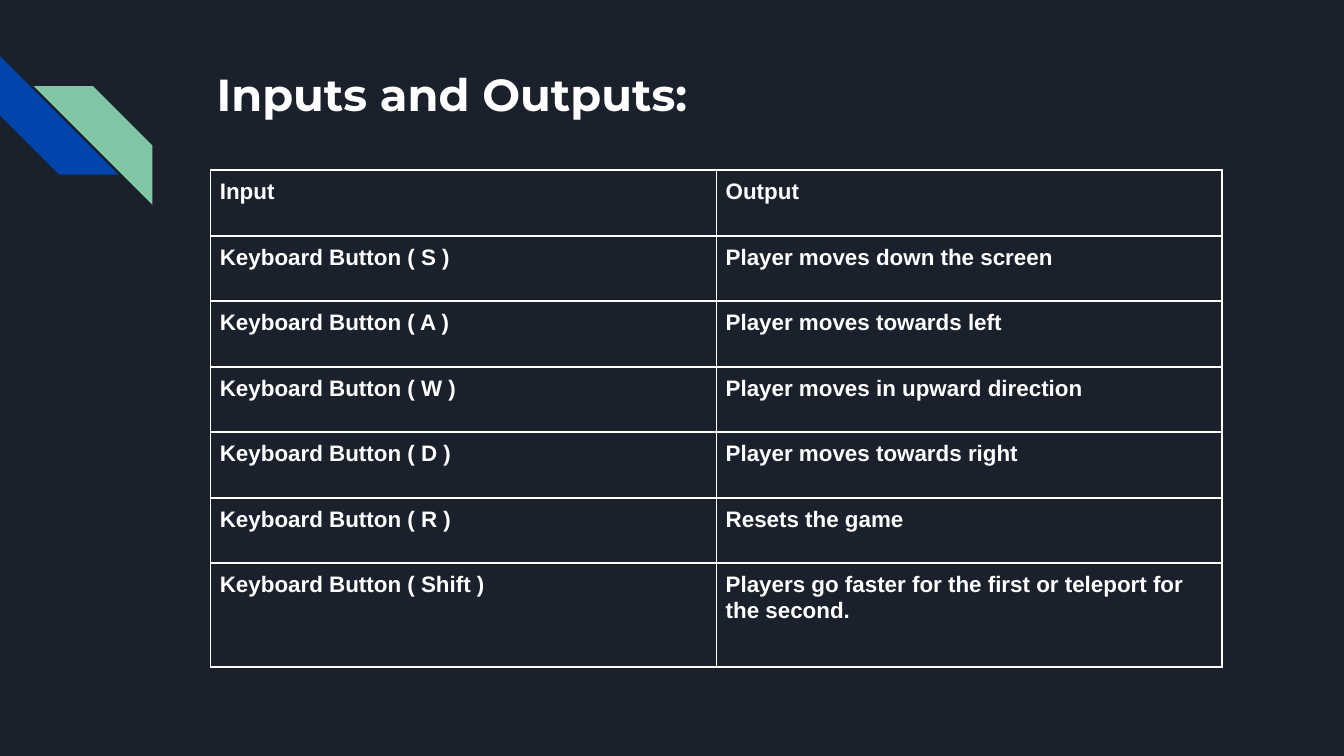
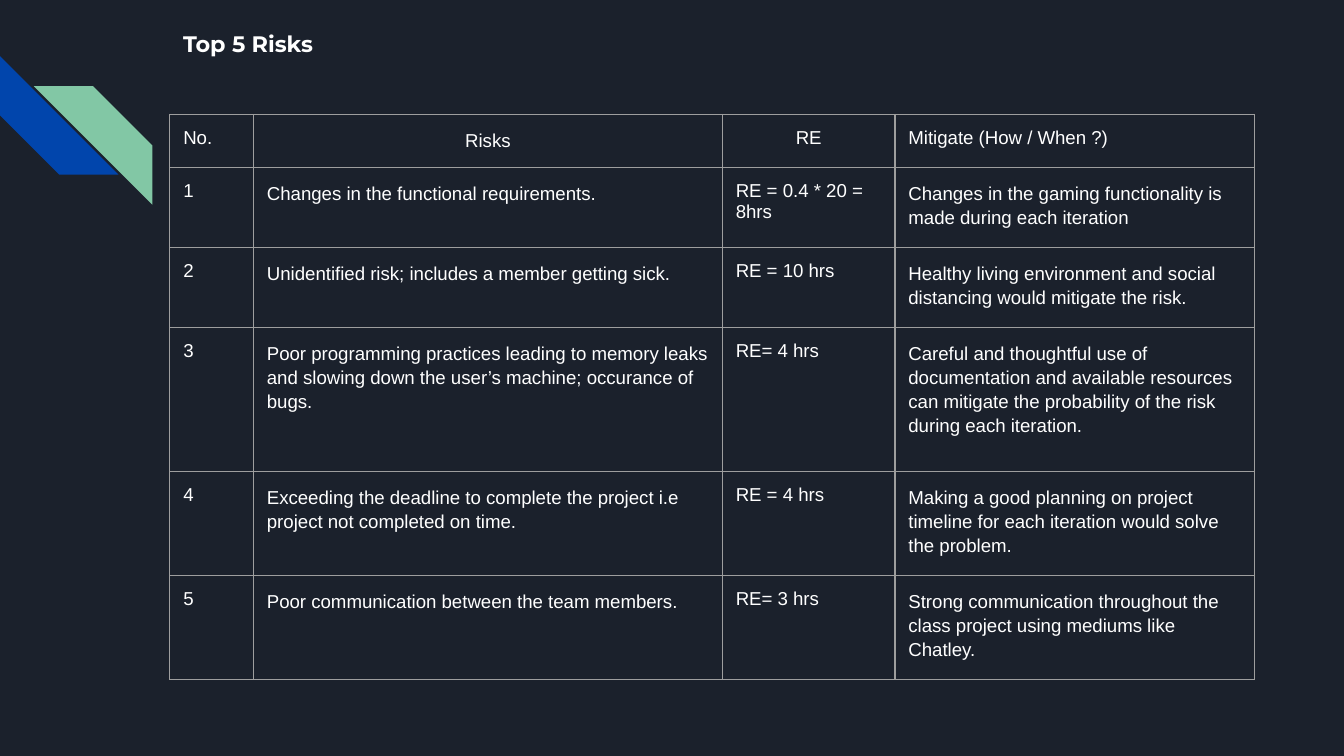
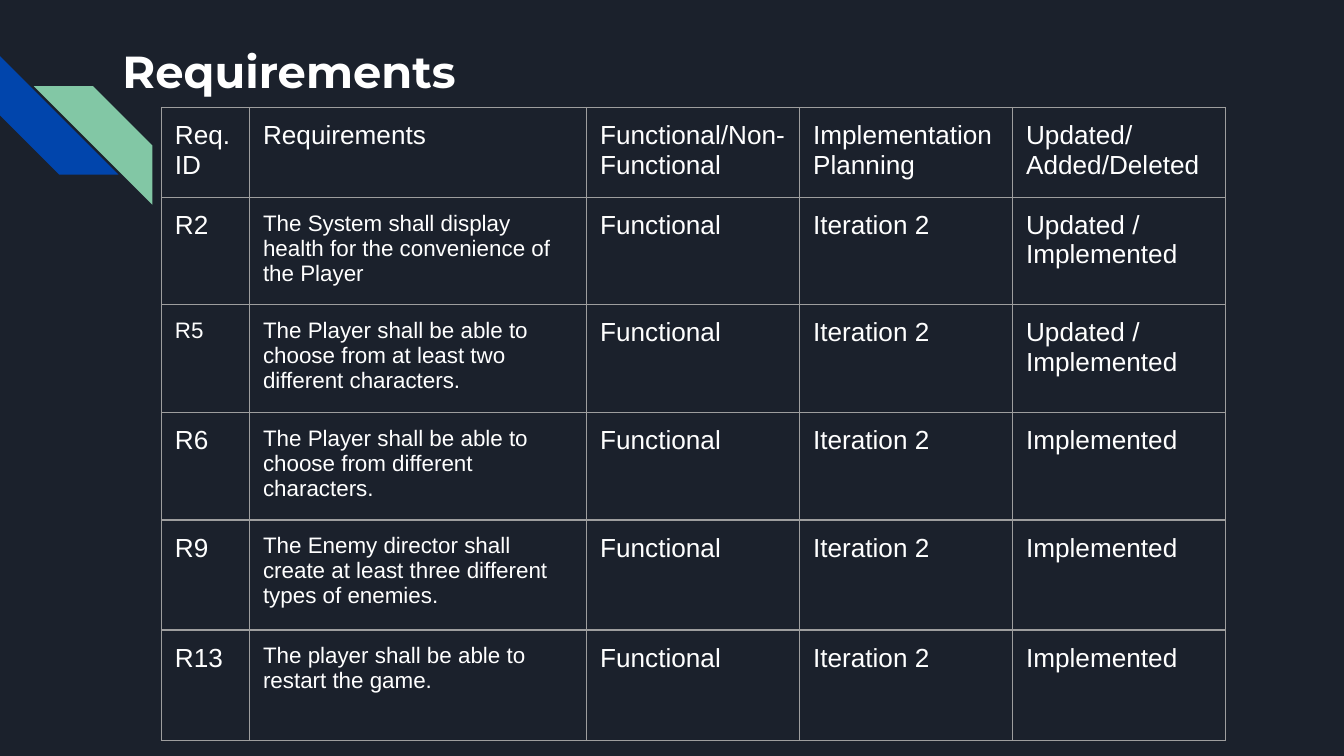
"""Build three table slides for a game project review."""
from lxml import etree
from pptx import Presentation
from pptx.dml.color import RGBColor
from pptx.enum import shapes, text
from pptx.oxml import ns
from pptx.util import Pt


def colour(value):
    return RGBColor.from_string(value)


class Slides:
    BACK, BLUE, GREEN = "1B212C", "0145AC", "82C7A5"
    WHITE, GREY = "FFFFFF", "9E9E9E"
    BODY, HEADING = "Arial", "Montserrat"
    INSET = 7.2

    def __init__(self):
        self.deck = Presentation()
        self.deck.slide_width, self.deck.slide_height = Pt(720), Pt(405)
        fill = self.deck.slide_master.background.fill
        fill.solid()
        fill.fore_color.rgb = colour(self.BACK)
        self.page = None

    def add_page(self):
        self.page = self.deck.slides.add_slide(self.deck.slide_layouts[6])
        self.stripe(0, 30, self.BLUE).rotation = 270
        green = self.stripe(18.2, 46.2, self.GREEN)
        green._element.spPr.xfrm.set("flipH", "1")

    def stripe(self, left, top, fill):
        shape = self.page.shapes.add_shape(
            shapes.MSO_SHAPE.DIAGONAL_STRIPE, Pt(left), Pt(top), Pt(63.5), Pt(63.5))
        shape.adjustments[0] = 0.5
        shape.shadow.inherit = False
        shape.fill.solid()
        shape.fill.fore_color.rgb = colour(fill)
        shape.line.fill.background()
        return shape

    def style(self, para, font, size, bold):
        para.font.name, para.font.size, para.font.bold = font, Pt(size), bold
        para.font.color.rgb = colour(self.WHITE)

    def inset(self, target, amount):
        target.margin_left = target.margin_right = Pt(amount)
        target.margin_top = target.margin_bottom = Pt(amount)

    def title(self, words, left, top, width, height, size=24):
        box = self.page.shapes.add_textbox(Pt(left), Pt(top), Pt(width), Pt(height))
        frame = box.text_frame
        frame.word_wrap = True
        self.inset(frame, self.INSET)
        frame.text = words
        self.style(frame.paragraphs[0], self.HEADING, size, True)
        return frame

    def border(self, cell, line, width):
        properties = cell._tc.get_or_add_tcPr()
        for side in ("lnL", "lnR", "lnT", "lnB"):
            edge = etree.SubElement(properties, ns.qn(f"a:{side}"), w=str(Pt(width)))
            solid = etree.SubElement(edge, ns.qn("a:solidFill"))
            etree.SubElement(solid, ns.qn("a:srgbClr"), val=line)

    def table(self, rows, left, top, widths, heights, size,
              bold=False, inset=INSET, line=GREY, weight=0.75):
        grid = self.page.shapes.add_table(
            len(rows), len(widths), Pt(left), Pt(top),
            Pt(sum(widths)), Pt(sum(heights))).table
        grid.first_row = grid.horz_banding = False
        for column, width in zip(grid.columns, widths):
            column.width = Pt(width)
        for row, height, entries in zip(grid.rows, heights, rows):
            row.height = Pt(height)
            for cell, words in zip(row.cells, entries):
                cell.text = words
                self.inset(cell, inset)
                self.border(cell, line, weight)
                cell.fill.background()
                for para in cell.text_frame.paragraphs:
                    self.style(para, self.BODY, size, bold)
        return grid


def first_para(grid, row, column):
    return grid.cell(row, column).text_frame.paragraphs[0]


def inputs_page(slides):
    moves = [
        ("S", "Player moves down the screen"),
        ("A", "Player moves towards left"),
        ("W", "Player moves in upward direction"),
        ("D", "Player moves towards right"),
        ("R", "Resets the game"),
        ("Shift", "Players go faster for the first or teleport for the second."),
    ]
    rows = [("Input", "Output")]
    rows += [(f"Keyboard Button ( {key} )", effect) for key, effect in moves]
    slides.add_page()
    slides.table(rows, 112.8, 91.2, [271] * 2, [35.1] * 6 + [55.6], 12,
                 bold=True, inset=5, line=slides.WHITE, weight=1)
    frame = slides.title("Inputs and Outputs:", 109, 23, 307, 50)
    frame.vertical_anchor = text.MSO_ANCHOR.MIDDLE
    frame.paragraphs[0].line_spacing = 1.15


def risks_page(slides):
    risks = [
        ("Changes in the functional requirements.", "RE = 0.4 * 20 = 8hrs",
         "Changes in the gaming functionality is made during each iteration"),
        ("Unidentified risk; includes a member getting sick.", "RE = 10 hrs",
         "Healthy living environment and social distancing would mitigate the risk."),
        ("Poor programming practices leading to memory leaks and slowing down "
         "the user’s machine; occurance of bugs.", "RE= 4 hrs",
         "Careful and thoughtful use of documentation and available resources "
         "can mitigate the probability of the risk during each iteration."),
        ("Exceeding the deadline to complete the project i.e project not "
         "completed on time.", "RE = 4 hrs",
         "Making a good planning on project timeline for each iteration would "
         "solve the problem."),
        ("Poor communication between the team members.", "RE= 3 hrs",
         "Strong communication throughout the class project using mediums like "
         "Chatley."),
    ]
    rows = [("No.", "Risks", "RE", "Mitigate (How / When ?)")]
    rows += [(str(number), *risk) for number, risk in enumerate(risks, 1)]
    slides.add_page()
    slides.title("Top 5 Risks", 91, 9, 554, 37, size=12)
    grid = slides.table(rows, 91, 61.3, [44.8, 251.2, 92.5, 192.5],
                        [27, 43, 43, 77, 53, 53], 10)
    for column in (1, 2):
        first_para(grid, 0, column).alignment = text.PP_ALIGN.CENTER
    first_para(grid, 0, 1).line_spacing = 1.15
    for row in range(1, len(rows)):
        for column in (1, 3):
            first_para(grid, row, column).line_spacing = 1.15


def requirements_page(slides):
    needs = [
        ("R2", "The System shall display health for the convenience of the Player",
         "Updated / Implemented"),
        ("R5", "The Player shall be able to choose from at least two different "
         "characters.", "Updated / Implemented"),
        ("R6", "The Player shall be able to choose from different characters.",
         "Implemented"),
        ("R9", "The Enemy director shall create at least three different types "
         "of enemies.", "Implemented"),
        ("R13", "The player shall be able to restart the game.", "Implemented"),
    ]
    rows = [("Req. ID", "Requirements", "Functional/Non-Functional",
             "Implementation\nPlanning", "Updated/Added/Deleted")]
    rows += [(label, need, "Functional", "Iteration 2", status)
             for label, need, status in needs]
    slides.add_page()
    slides.title("Requirements", 58.5, 16.5, 554, 72)
    grid = slides.table(rows, 86.5, 57.6, [47.2, 180.6] + [114.1] * 3,
                        [45.8] + [54.6] * 3 + [59] * 2, 14)
    for row in range(1, len(rows)):
        first_para(grid, row, 1).font.size = Pt(12)
    first_para(grid, 2, 0).font.size = Pt(12)


def main():
    slides = Slides()
    inputs_page(slides)
    risks_page(slides)
    requirements_page(slides)
    slides.deck.save("out.pptx")


if __name__ == "__main__":
    main()
